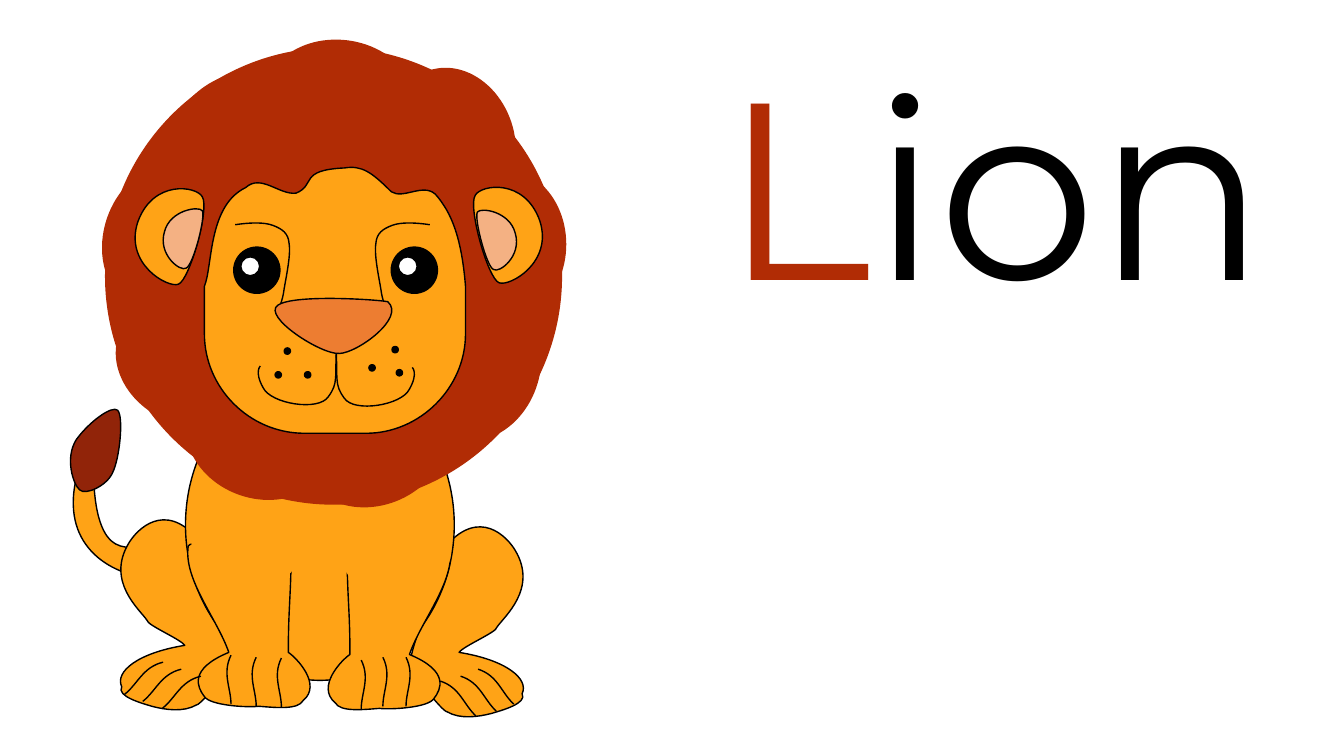
"""Build a vocabulary slide that pairs a drawn lion with its name."""
import pptx
import pptx.dml.color
import pptx.enum.shapes
import pptx.enum.text
import pptx.oxml.ns
import pptx.util

Pt = pptx.util.Pt
RGBColor = pptx.dml.color.RGBColor

BLACK = RGBColor(0x00, 0x00, 0x00)
WHITE = RGBColor(0xFF, 0xFF, 0xFF)
FUR = RGBColor(0xFF, 0xA3, 0x16)
MANE = RGBColor(0xB1, 0x2C, 0x05)
TAIL_TUFT = RGBColor(0x91, 0x24, 0x09)
INNER_EAR = RGBColor(0xF4, 0xB1, 0x83)
NOSE = RGBColor(0xED, 0x7D, 0x31)

HIND_LEG = [
    (143, 391), (143, 387.5, 144.5, 384.5, 141, 384.5),
    (117.5, 358, 98, 378, 92, 388), (75.5, 415.5, 100, 435.5, 105, 443),
    (105, 446.5, 129, 456.5, 132, 461), (98, 466.5, 82, 480, 87, 490.5),
    (83, 497.5, 102, 502.5, 108.5, 504.5), (118, 507, 131, 509, 140.5, 503.5),
    (144, 503.5, 167, 474, 167, 470), (167, 453, 143, 408, 143, 391)]
TAIL = [
    (94.5, 410.5), (83, 408, 44, 393, 54, 344), (67, 344),
    (70.5, 411, 101, 383, 106.5, 394), (107.5, 394.5, 101.5, 408, 101, 409),
    (94.5, 415.5), (93.5, 416, 95, 412, 94.5, 410.5)]
TAIL_TIP = [
    (80.5, 337.5), (85.5, 327.5, 88.5, 297.5, 84, 293),
    (80, 289.5, 64, 301, 54.5, 314), (46, 327.5, 52.5, 346.5, 57, 350),
    (61, 354, 76.5, 347, 80.5, 337.5)]
FACE = [
    (146, 204.5), (152, 190, 148.5, 147, 175.5, 134),
    (186.5, 124, 199.5, 139.5, 211.5, 138), (226, 132, 213, 121.5, 246, 120),
    (258.5, 118, 265.5, 123, 279.5, 137), (288.5, 143, 304, 129, 312.5, 140.5),
    (321, 151, 329.5, 166.5, 332.5, 204.5), (332.5, 238.5),
    (332.5, 277, 300, 309.5, 261.5, 309.5), (217.5, 309.5),
    (178, 309.5, 146, 277, 146, 238.5), (146, 204.5)]
BROW = [
    (168, 160.5), (178, 159, 188.5, 158.5, 195, 161),
    (201.5, 163.5, 206, 166.5, 206.5, 174), (208, 183, 203.5, 201.5, 202.5, 209.5),
    (201, 217.5, 198.5, 221, 198.5, 221)]
MUZZLE = [
    (240.5, 247.5), (239, 269.5, 242, 273.5, 234.5, 283.5),
    (227.5, 294, 193.5, 288.5, 188, 277), (181.5, 265.5, 186, 261.5, 186, 261.5)]
EAR = [
    (98.5, 158.5), (109.5, 128, 140.5, 133, 144.5, 140.5),
    (150, 148.5, 135.5, 200, 127.5, 203), (120, 206, 88.5, 188.5, 98.5, 158.5)]
EAR_INSIDE = [
    (117.5, 165.5), (121.5, 150, 142, 147, 144.5, 150.5),
    (147, 155, 138, 189.5, 133, 191.5), (129, 194.5, 112.5, 182, 117.5, 165.5)]
FRONT_LEG = [
    (208, 392.5), (208, 389, 195, 389, 191.5, 389), (166.5, 389),
    (162.5, 389, 134.5, 386.5, 134.5, 390), (131, 414, 155, 441.5, 163.5, 466),
    (134.5, 478, 141, 491, 146, 497.5), (150, 504, 177, 505.5, 185, 504.5),
    (197.5, 505.5, 213, 507, 216.5, 500.5), (230.5, 489, 211.5, 469.5, 206, 466),
    (206, 433.5, 208, 425, 208, 392.5)]
NOSE_TIP = [
    (198.5, 218), (187, 226, 229.5, 253.5, 242.5, 252.5),
    (255.5, 252, 290, 227, 277, 215.5), (269.5, 214, 210, 210, 198.5, 218)]

MANE_LOCKS = [
    (132.5, 268.5, 87, 19.4), (214, 273.5, 87, 338.3), (288.5, 219, 87, 289.4),
    (307.5, 131, 87, 270), (270.5, 57.5, 87, 251.6), (81.5, 215.5, 87, 25.6),
    (63.5, 127.5, 83.5, 289.4), (112.5, 59, 83.5, 311), (190, 29, 83.5, 7.1)]
WHISKER_DOTS = [(283, 264), (263.5, 260.5), (280, 247.5),
                (217.5, 265.5), (196.5, 265.5), (203, 248.5)]
TOES = [
    ((-6.5, 13, 0, 23.5, 0, 35), [(165, 468), (183, 469.5), (201, 470)]),
    ((-14.5, 3.5, -18, 15.5, -27.5, 23), [(116.5, 473), (129.5, 478), (143.5, 483)]),
    ((6.5, 13, 0, 23.5, 0, 35), [(290, 469.5), (273.5, 469.5), (258, 471.5)]),
    ((14, 4.5, 16.5, 16.5, 25.5, 25), [(341.5, 478), (329, 483), (314.5, 486.5)])]


def mirror(outline, width, dy=0):
    """Flip an outline left to right within a width and shift it down."""
    return [tuple(v + dy if i % 2 else width - v for i, v in enumerate(seg))
            for seg in outline]


def bend_segments(sp, outline):
    """Join each three lines that stand for control points into one cubic curve."""
    qn = pptx.oxml.ns.qn
    geometry = sp.element.find(".//" + qn("a:path"))
    lines = iter(geometry.findall(qn("a:lnTo")))
    for seg in outline[1:]:
        line = next(lines)
        if len(seg) == 2:
            continue
        curve = geometry.makeelement(qn("a:cubicBezTo"))
        line.addprevious(curve)
        for control in (line, next(lines), next(lines)):
            curve.append(control[0])
            geometry.remove(control)


def paint(sp, fill, line=BLACK):
    """Set the fill and outline of a shape, with no shadow."""
    sp.shadow.inherit = False
    if fill is None:
        sp.fill.background()
    else:
        sp.fill.solid()
        sp.fill.fore_color.rgb = fill
    sp.line.color.rgb = line
    sp.line.width = Pt(1)


def add_outline(shapes, outline, fill=None):
    """Draw a closed filled outline, or an open stroke when there is no fill."""
    start, *rest = [(Pt(x), Pt(y)) for seg in outline
                    for x, y in zip(seg[::2], seg[1::2])]
    builder = shapes.build_freeform(*start)
    builder.add_line_segments(rest, close=fill is not None)
    sp = builder.convert_to_shape()
    bend_segments(sp, outline)
    paint(sp, fill)


def add_ellipse(shapes, x, y, w, h, fill, line=BLACK, rotation=0):
    """Draw an ellipse."""
    sp = shapes.add_shape(pptx.enum.shapes.MSO_SHAPE.OVAL, Pt(x), Pt(y), Pt(w), Pt(h))
    sp.rotation = rotation
    paint(sp, fill, line)


def add_run(p, text, *, size, color, font="Montserrat"):
    """Add formatted text to a paragraph."""
    r = p.add_run()
    r.text = text
    r.font.name = font
    r.font.size = Pt(size)
    r.font.color.rgb = color


def add_title(s):
    """Place the animal's name with its initial in the mane colour."""
    sp = s.shapes.title
    sp.left, sp.top, sp.width, sp.height = Pt(509), Pt(16.5), Pt(443), Pt(225.5)
    tf = sp.text_frame
    tf.word_wrap = True
    tf.auto_size = pptx.enum.text.MSO_AUTO_SIZE.NONE
    tf.vertical_anchor = pptx.enum.text.MSO_ANCHOR.TOP
    p = tf.paragraphs[0]
    p.alignment = pptx.enum.text.PP_ALIGN.LEFT
    add_run(p, "L", size=180, color=MANE)
    add_run(p, "ion", size=180, color=BLACK)


def add_lion(shapes):
    """Draw the lion from back to front."""
    add_outline(shapes, mirror(HIND_LEG, 460, 5), FUR)
    add_outline(shapes, TAIL, FUR)
    add_outline(shapes, TAIL_TIP, TAIL_TUFT)
    add_outline(shapes, HIND_LEG, FUR)
    add_ellipse(shapes, 132.5, 264, 192, 222, FUR)
    add_ellipse(shapes, 75.5, 34.5, 325.5, 325.5, MANE, MANE)
    for x, y, h, rotation in MANE_LOCKS:
        add_ellipse(shapes, x, y, 106, h, MANE, MANE, rotation)
    add_outline(shapes, FACE, FUR)
    add_outline(shapes, mirror(BROW, 475))
    add_outline(shapes, BROW)
    for x, y in WHISKER_DOTS:
        add_ellipse(shapes, x, y, 4.5, 4.5, BLACK)
    add_outline(shapes, MUZZLE)
    for x in (279.5, 167):
        add_ellipse(shapes, x, 176.5, 33, 33, BLACK)
        add_ellipse(shapes, x + 5, 183.5, 13.5, 13.5, WHITE)
    add_outline(shapes, EAR, FUR)
    add_outline(shapes, EAR_INSIDE, INNER_EAR)
    add_outline(shapes, mirror(EAR, 484, -1), FUR)
    add_outline(shapes, mirror(EAR_INSIDE, 485.5, 1), INNER_EAR)
    add_outline(shapes, FRONT_LEG, FUR)
    add_outline(shapes, mirror(MUZZLE, 480.5, 1))
    add_outline(shapes, NOSE_TIP, NOSE)
    add_outline(shapes, mirror(FRONT_LEG, 456, 1.5), FUR)
    add_ellipse(shapes, 137, 363.5, 77, 55.5, FUR, FUR, 7.3)
    add_ellipse(shapes, 245, 368.5, 77, 55.5, FUR, FUR, 352.7)
    for bend, starts in TOES:
        for x, y in starts:
            curve = tuple(v + (y if i % 2 else x) for i, v in enumerate(bend))
            add_outline(shapes, [(x, y), curve])


def main():
    """Build and save the slide."""
    prs = pptx.Presentation()
    prs.slide_width, prs.slide_height = Pt(960), Pt(540)
    s = prs.slides.add_slide(prs.slide_layouts.get_by_name("Title Only"))
    add_title(s)
    add_lion(s.shapes.add_group_shape().shapes)
    prs.save("out.pptx")


if __name__ == "__main__":
    main()
